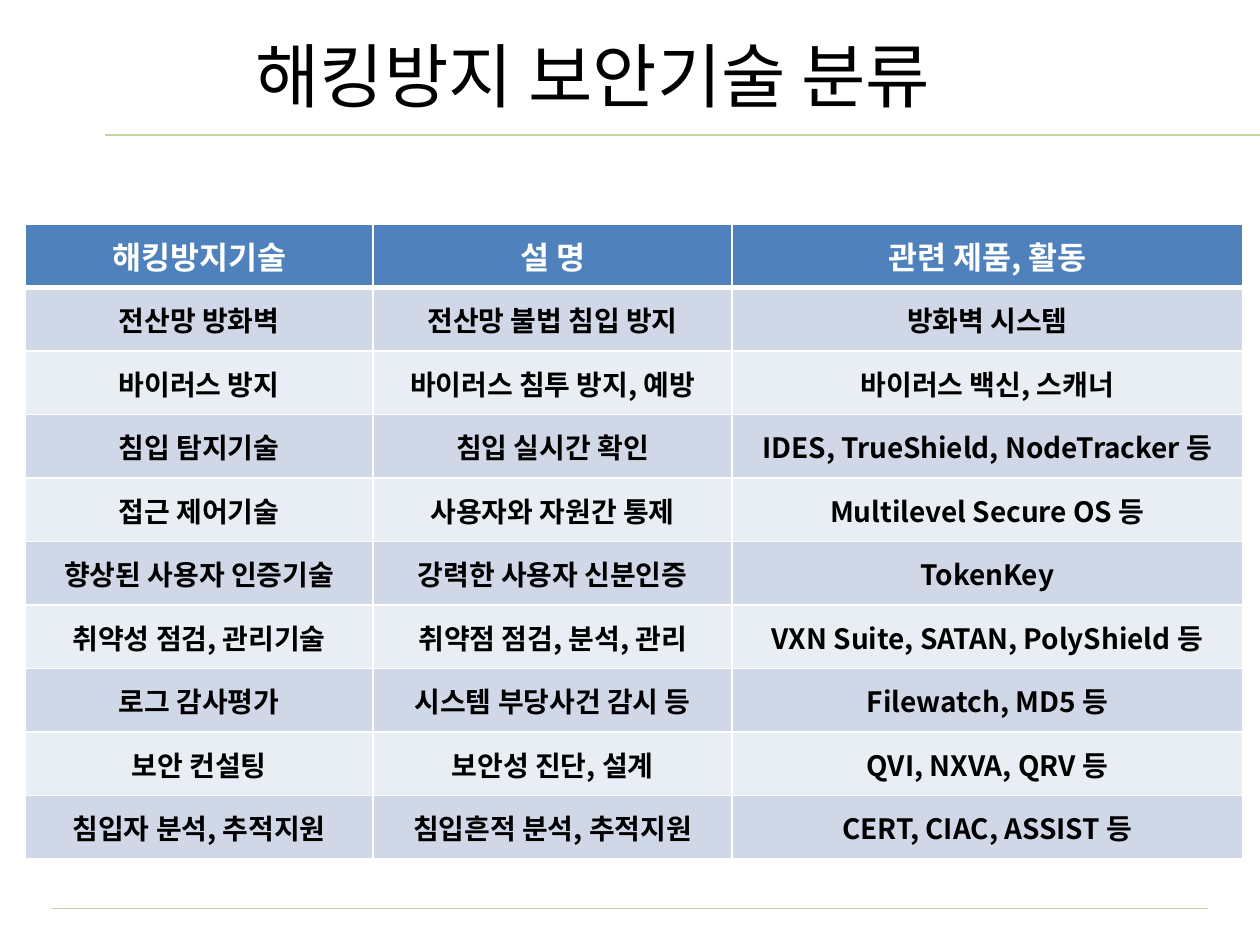
from lxml import etree
from pptx import Presentation
from pptx import util as u
from pptx.dml.color import RGBColor
from pptx.enum import shapes, text
from pptx.oxml import ns

HUES = {"rule": "C3D69B", "head": "4F81BD", "odd": "D0D8E8",
        "even": "E9EDF4", "ink": "000000", "pale": "FFFFFF"}
FACE = "Noto Sans CJK KR"
COLS = [7.01, 7.24, 10.29]
ROWS = [
    ("해킹방지기술", "설 명", "관련 제품, 활동"),
    ("전산망 방화벽", "전산망 불법 침입 방지", "방화벽 시스템"),
    ("바이러스 방지", "바이러스 침투 방지, 예방", "바이러스 백신, 스캐너"),
    ("침입 탐지기술", "침입 실시간 확인", "IDES, TrueShield, NodeTracker 등"),
    ("접근 제어기술", "사용자와 자원간 통제", "Multilevel Secure OS 등"),
    ("향상된 사용자 인증기술", "강력한 사용자 신분인증", "TokenKey"),
    ("취약성 점검, 관리기술", "취약점 점검, 분석, 관리", "VXN Suite, SATAN, PolyShield 등"),
    ("로그 감사평가", "시스템 부당사건 감시 등", "Filewatch, MD5 등"),
    ("보안 컨설팅", "보안성 진단, 설계", "QVI, NXVA, QRV 등"),
    ("침입자 분석, 추적지원", "침입흔적 분석, 추적지원", "CERT, CIAC, ASSIST 등"),
]


def hue(name):
    """Return the named colour."""
    return RGBColor.from_string(HUES[name])


def add_run(para, words, size, face, tint, bold=False):
    """Add one formatted run to a paragraph."""
    run = para.add_run()
    run.text = words
    font = run.font
    font.size, font.name, font.bold = u.Pt(size), face, bold
    font.color.rgb = hue(tint)
    return run


def add_rule(slide, left, top, wide):
    """Draw a thin green rule across the slide."""
    rule = slide.shapes.add_connector(
        shapes.MSO_CONNECTOR.STRAIGHT,
        u.Cm(left), u.Cm(top), u.Cm(left + wide), u.Cm(top))
    rule.line.color.rgb = hue("rule")
    rule.line.width = u.Pt(0.75)
    etree.SubElement(rule._element.spPr, ns.qn("a:effectLst"))


def add_title(slide, left, top, wide, high):
    """Place the slide title in its placeholder."""
    title = slide.shapes.title
    title.left, title.top = u.Cm(left), u.Cm(top)
    title.width, title.height = u.Cm(wide), u.Cm(high)
    frame = title.text_frame
    frame.word_wrap = True
    frame.auto_size = text.MSO_AUTO_SIZE.NONE
    frame.vertical_anchor = text.MSO_ANCHOR.TOP
    para = frame.paragraphs[0]
    para.alignment = text.PP_ALIGN.LEFT
    add_run(para, "해킹방지 보안기술 분류", 40, "Arial", "ink")


def add_edge(cell, side, width):
    """Give one side of a cell a white border."""
    edge = etree.SubElement(cell._tc.get_or_add_tcPr(), ns.qn("a:ln" + side),
                            w=str(u.Pt(width)))
    fill = etree.SubElement(edge, ns.qn("a:solidFill"))
    etree.SubElement(fill, ns.qn("a:srgbClr"), val=HUES["pale"])


def fill_cell(cell, words, row):
    """Write and style one cell according to its row."""
    head = row == 0
    widths = {"L": 1, "R": 1, "T": 3 if row == 1 else 1, "B": 3 if head else 1}
    for side, width in widths.items():
        add_edge(cell, side, width)
    cell.fill.solid()
    cell.fill.fore_color.rgb = hue("head" if head else "odd" if row % 2 else "even")
    cell.vertical_anchor = text.MSO_ANCHOR.MIDDLE
    para = cell.text_frame.paragraphs[0]
    para.alignment = text.PP_ALIGN.CENTER
    run = add_run(para, words, 18 if head else 16, FACE,
                  "pale" if head else "ink", True)
    etree.SubElement(run.font._element, ns.qn("a:ea"), typeface=FACE)


def add_grid(slide, left, top, high):
    """Build the table of security techniques."""
    grid = slide.shapes.add_table(
        len(ROWS), len(COLS), u.Cm(left), u.Cm(top),
        u.Cm(sum(COLS)), u.Cm(high)).table
    for col, wide in zip(grid.columns, COLS):
        col.width = u.Cm(wide)
    for row, line in enumerate(ROWS):
        grid.rows[row].height = u.Cm(high / len(ROWS))
        for col, words in enumerate(line):
            fill_cell(grid.cell(row, col), words, row)


def main():
    """Build and save the slide."""
    deck = Presentation()
    deck.slide_width, deck.slide_height = u.Cm(25.4), u.Cm(19.05)
    slide = deck.slides.add_slide(deck.slide_layouts[5])
    add_rule(slide, 2.11, 2.72, 23.29)
    add_title(slide, 4.9, 0.53, 15.77, 1.96)
    add_rule(slide, 1.04, 18.31, 23.32)
    add_grid(slide, 0.51, 4.52, 12.8)
    deck.save("out.pptx")


if __name__ == "__main__":
    main()
